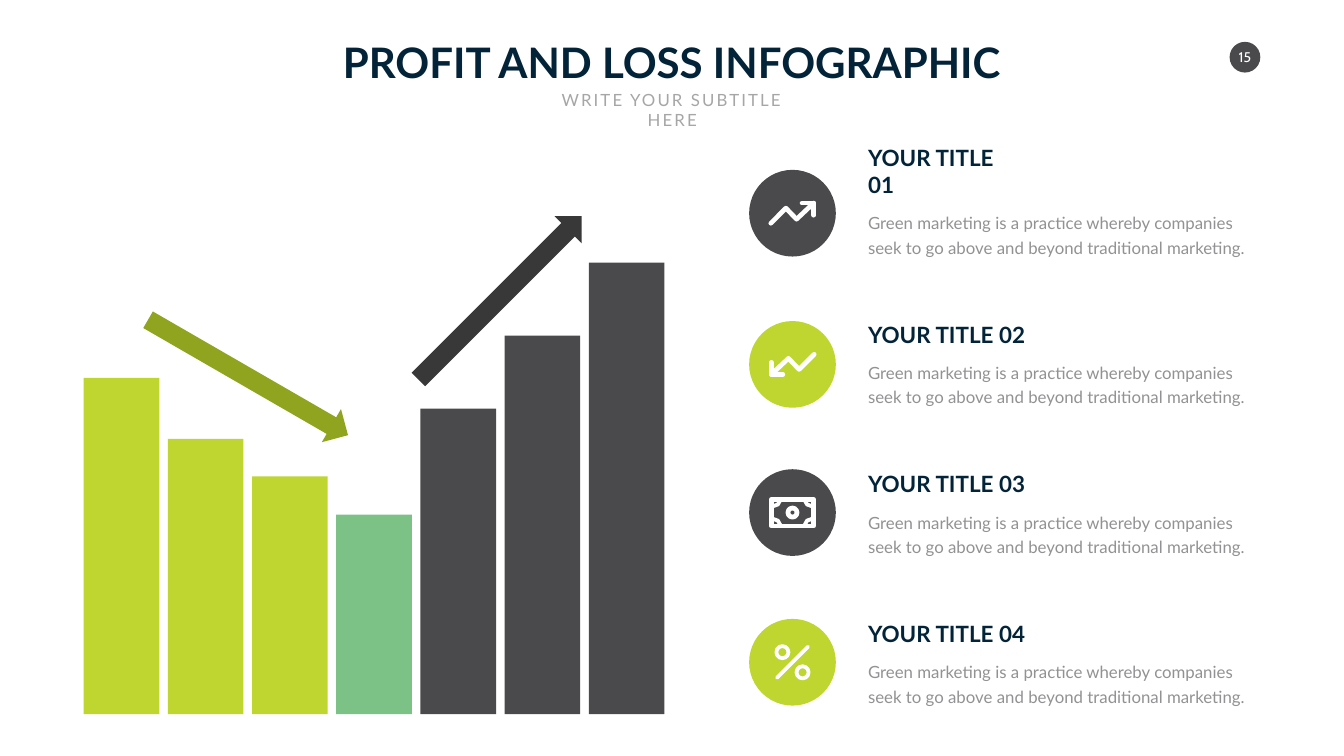
"""Build the profit and loss infographic slide."""
from itertools import product

from lxml.etree import SubElement
from pptx import Presentation
from pptx.dml.color import RGBColor
from pptx.enum.shapes import MSO_CONNECTOR as Connector, MSO_SHAPE as Shape
from pptx.enum.text import MSO_ANCHOR as Anchor, MSO_AUTO_SIZE as AutoSize, PP_ALIGN as Align
from pptx.oxml.ns import qn
from pptx.util import Inches, Pt

NAVY = RGBColor(0x02, 0x23, 0x38)
CHARCOAL = RGBColor(0x4A, 0x4A, 0x4C)
DARK = RGBColor(0x38, 0x38, 0x39)
LIME = RGBColor(0xBE, 0xD6, 0x2F)
OLIVE = RGBColor(0x91, 0xA4, 0x20)
GREEN = RGBColor(0x7C, 0xC2, 0x87)
SILVER = RGBColor(0xA6, 0xA6, 0xA6)
GRAY = RGBColor(0x92, 0x92, 0x94)
WHITE = RGBColor(0xFF, 0xFF, 0xFF)

BAR_WIDTH, BAR_PITCH, BAR_LEFT, BASELINE = 1.5, 1.67, 1.66, 14.17
BARS = [(6.67, LIME), (5.46, LIME), (4.72, LIME), (3.96, GREEN),
        (6.06, CHARCOAL), (7.51, CHARCOAL), (8.96, CHARCOAL)]
ROW_TOP, ROW_PITCH, ROW_LEFT = 3.34, 2.97, 17.12
CIRCLE_LEFT, CIRCLE_SIZE = 14.86, 1.72
DESCRIPTION = ("Green marketing is a practice whereby companies "
               "seek to go above and beyond traditional marketing.")


class SlideBuilder:
    """Hold the style and the current slide."""

    font_name = "Lato"
    frame_format = {"word_wrap": True, "auto_size": AutoSize.SHAPE_TO_FIT_TEXT}
    heading_format = {"size": Pt(32), "bold": True}
    description_format = {"size": Pt(24), "bold": False}

    def __init__(self, slide):
        self.slide = slide

    def set_text(self, shape, text, color, font, frame=None, paragraph=None, tracking=None):
        text_frame = shape.text_frame
        text_frame.text = text
        first = text_frame.paragraphs[0]
        run = first.runs[0]
        formats = [
            (text_frame, {**self.frame_format, "vertical_anchor": Anchor.TOP, **(frame or {})}),
            (first, {"space_before": Pt(0), **(paragraph or {})}),
            (run.font, {"name": self.font_name, **font}),
        ]
        for target, values in formats:
            for name, value in values.items():
                setattr(target, name, value)
        run.font.color.rgb = color
        if tracking:
            run.font._element.set("spc", str(tracking))

    def placeholder(self, shape, box, text, color, font, tracking=None):
        for name, value in zip(("left", "top", "width", "height"), box):
            setattr(shape, name, Inches(value))
        self.set_text(shape, text, color, font, paragraph={"alignment": Align.CENTER},
                      tracking=tracking)

    def text(self, box, text, color, font, frame=None, paragraph=None):
        shape = self.slide.shapes.add_textbox(*map(Inches, box))
        self.set_text(shape, text, color, font, frame, paragraph)

    def solid(self, kind, box, color, rotation=0):
        shape = self.slide.shapes.add_shape(kind, *map(Inches, box))
        shape.shadow.inherit = False
        shape.fill.solid()
        shape.fill.fore_color.rgb = color
        shape.line.fill.background()
        shape.rotation = rotation
        return shape

    def stroke(self, shape, weight):
        shape.line.color.rgb = WHITE
        shape.line.width = Pt(weight)
        line = shape.line._get_or_add_ln()
        line.set("cap", "rnd")
        SubElement(line, qn("a:round"))

    def outline(self, kind, center, width, height, weight):
        x, y = center
        shape = self.slide.shapes.add_shape(
            kind, *map(Inches, (x - width / 2, y - height / 2, width, height)))
        shape.shadow.inherit = False
        shape.fill.background()
        self.stroke(shape, weight)

    def polyline(self, center, points, weight):
        x, y = center
        vertices = [(Inches(x + dx), Inches(y + dy)) for dx, dy in points]
        builder = self.slide.shapes.build_freeform(*vertices[0], scale=1.0)
        builder.add_line_segments(vertices[1:], close=False)
        shape = builder.convert_to_shape()
        shape.shadow.inherit = False
        shape.fill.background()
        self.stroke(shape, weight)

    def line(self, start, end, weight):
        connector = self.slide.shapes.add_connector(
            Connector.STRAIGHT, *map(Inches, (*start, *end)))
        self.stroke(connector, weight)
        SubElement(connector._element.spPr, qn("a:effectLst"))

    def trend_icon(self, center, turn):
        trend = [(-0.43, 0.2), (-0.13, -0.1), (0.08, 0.12), (0.42, -0.2)]
        head = [(0.19, -0.2), (0.42, -0.2), (0.42, 0.04)]
        for points in (trend, head):
            self.polyline(center, [(turn * x, turn * y) for x, y in points], 6.7)

    def rising_icon(self, center):
        self.trend_icon(center, 1)

    def falling_icon(self, center):
        self.trend_icon(center, -1)

    def banknote_icon(self, center):
        self.outline(Shape.RECTANGLE, center, 0.84, 0.53, 6.8)
        self.outline(Shape.OVAL, center, 0.18, 0.18, 6.8)
        for side, end in product((-1, 1), repeat=2):
            corner = [(0.4, 0.12), (0.29, 0.16), (0.24, 0.25)]
            self.polyline(center, [(side * x, end * y) for x, y in corner], 5.5)

    def percent_icon(self, center):
        x, y = center
        self.line((x - 0.31, y + 0.31), (x + 0.31, y - 0.31), 5.4)
        for offset in (-0.2, 0.2):
            self.outline(Shape.OVAL, (x + offset, y + offset), 0.24, 0.24, 5.4)

    def bars(self):
        for index, (height, color) in enumerate(BARS):
            left = BAR_LEFT + index * BAR_PITCH
            self.solid(Shape.RECTANGLE, (left, BASELINE - height, BAR_WIDTH, height), color)

    def row(self, index, heading_width, circle_top, color, icon):
        top = ROW_TOP + index * ROW_PITCH
        self.text((ROW_LEFT, top, heading_width, 0.64), f"YOUR TITLE {index + 1:02}", NAVY,
                  self.heading_format, {"vertical_anchor": Anchor.BOTTOM})
        self.text((ROW_LEFT, top + 0.75, 7.88, 1.03), DESCRIPTION, GRAY,
                  self.description_format, paragraph={"line_spacing": Pt(35)})
        self.solid(Shape.OVAL, (CIRCLE_LEFT, circle_top, CIRCLE_SIZE, CIRCLE_SIZE), color)
        icon((CIRCLE_LEFT + CIRCLE_SIZE / 2, circle_top + CIRCLE_SIZE / 2))

    def page_badge(self, number):
        badge = self.solid(Shape.OVAL, (24.39, 0.83, 0.61, 0.61), CHARCOAL)
        margins = dict.fromkeys(
            ("margin_left", "margin_top", "margin_right", "margin_bottom"), 0)
        self.set_text(badge, number, WHITE, {"name": "Cabin", "size": Pt(20)},
                      {**margins, "vertical_anchor": Anchor.MIDDLE, "word_wrap": False,
                       "auto_size": AutoSize.NONE}, {"alignment": Align.CENTER})


def main():
    presentation = Presentation()
    presentation.slide_width = Inches(26.66)
    presentation.slide_height = Inches(15)
    slide = presentation.slides.add_slide(presentation.slide_layouts[0])
    builder = SlideBuilder(slide)

    builder.page_badge("15")
    builder.placeholder(slide.shapes.title, (6.58, 0.67, 13.49, 1.11),
                        "PROFIT AND LOSS INFOGRAPHIC", NAVY, {"size": Pt(60), "bold": True})
    builder.placeholder(slide.placeholders[1], (10.62, 1.72, 5.43, 0.5),
                        "WRITE YOUR SUBTITLE HERE", SILVER, {"size": Pt(24)}, tracking=300)
    builder.bars()
    builder.solid(Shape.RIGHT_ARROW, (2.63, 7.11, 4.58, 0.76), OLIVE, 30)
    builder.solid(Shape.RIGHT_ARROW, (7.63, 5.53, 4.58, 0.76), DARK, 315)
    rows = [(3.23, 3.37, CHARCOAL, builder.rising_icon),
            (3.4, 6.37, LIME, builder.falling_icon),
            (3.4, 9.31, CHARCOAL, builder.banknote_icon),
            (3.4, 12.28, LIME, builder.percent_icon)]
    for index, row in enumerate(rows):
        builder.row(index, *row)
    presentation.save("out.pptx")


if __name__ == "__main__":
    main()
